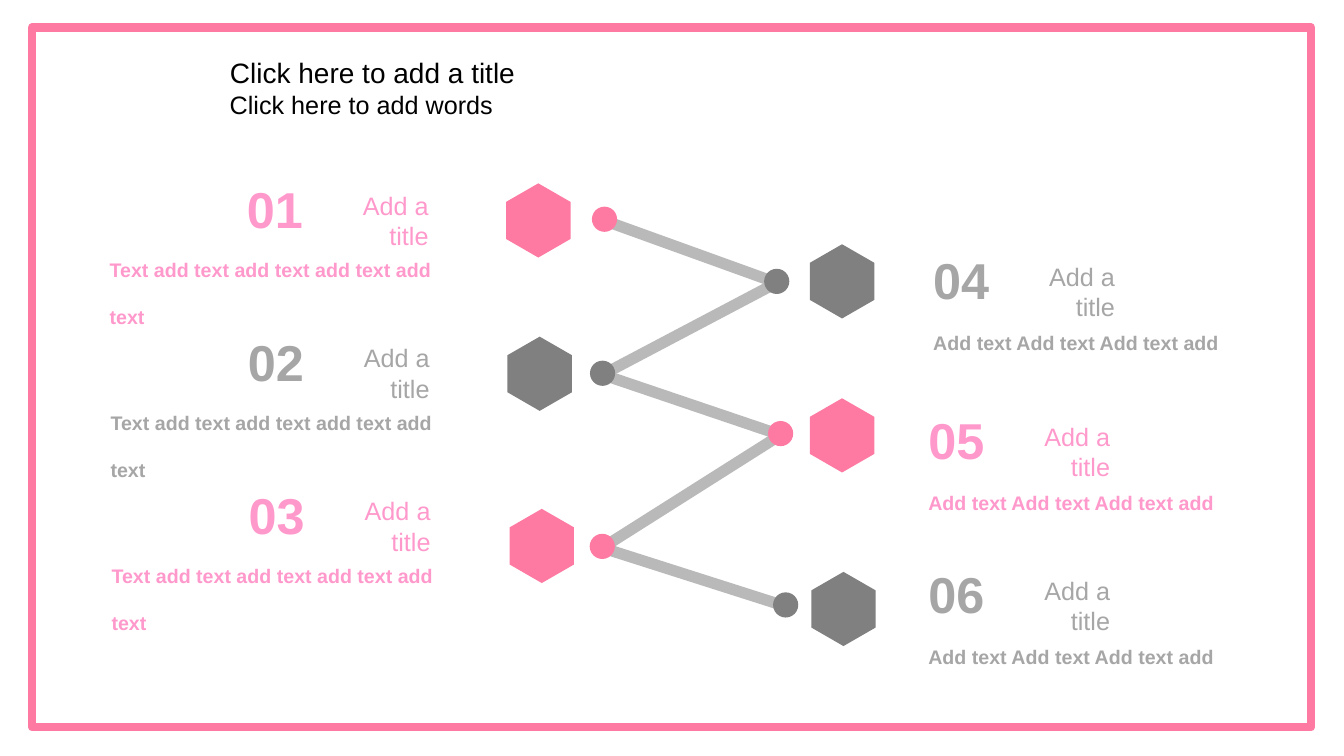
from itertools import pairwise

from lxml import etree
from pptx import Presentation
from pptx.dml.color import RGBColor
from pptx.enum import shapes, text
from pptx.oxml.ns import qn
from pptx.util import Pt

PINK, GRAY = "FF7AA3", "808080"
LIGHT_PINK, LIGHT_GRAY = "FF99CC", "A6A6A6"
LINE_GRAY = "B9B9B9"
DOT = 18
HEX_W, HEX_H = 46, 53

LEFT_BODY = "Text add text add text add text add text"
RIGHT_BODY = "Add text Add text Add text add"

# label, pink?, hexagon left/top, dot centre, number left/top
LEFT_ITEMS = [
    ("01", True, (361.5, 131), (431.8, 156.6), (169.2, 123.8)),
    ("02", False, (362.5, 240.5), (430.4, 266.6), (169.9, 232.6)),
    ("03", True, (364, 363.5), (430.2, 390.3), (170.6, 342)),
]
RIGHT_ITEMS = [
    ("04", False, (578.5, 174.5), (554.8, 201), (659.5, 174.2)),
    ("05", True, (578.5, 284.5), (557.6, 309.7), (656, 288.7)),
    ("06", False, (579.5, 408.5), (561.2, 432.1), (656, 398.9)),
]


def rgb(value):
    return RGBColor.from_string(value)


def paint(sp, fill):
    sp.shadow.inherit = False
    sp.fill.solid()
    sp.fill.fore_color.rgb = rgb(fill)
    sp.line.fill.background()


def write(sp, words, size=18, color="000000", bold=False, wrap=True,
          align=text.PP_ALIGN.LEFT, spacing=None):
    tf = sp.text_frame
    tf.word_wrap = wrap
    tf.auto_size = text.MSO_AUTO_SIZE.SHAPE_TO_FIT_TEXT
    tf.vertical_anchor = text.MSO_ANCHOR.TOP
    p = tf.paragraphs[0]
    p.alignment = align
    if spacing:
        p.line_spacing = spacing
    r = p.add_run()
    r.text = words
    r.font.name = "Arial"
    r.font.size = Pt(size)
    r.font.bold = bold
    r.font.color.rgb = rgb(color)


def add_text(slide, x, y, w, h, words, **fmt):
    sp = slide.shapes.add_textbox(Pt(x), Pt(y), Pt(w), Pt(h))
    write(sp, words, **fmt)


def add_frame(slide):
    sp = slide.shapes.add_shape(shapes.MSO_SHAPE.RECTANGLE,
                                Pt(23), Pt(19.5), Pt(913.5), Pt(500))
    paint(sp, "FFFFFF")
    sp.line.color.rgb = rgb(PINK)
    sp.line.width = Pt(6)
    # Send the frame behind the title
    slide.shapes.title._element.addprevious(sp._element)


def add_heading(slide):
    sp = slide.shapes.title
    sp.left, sp.top, sp.width, sp.height = Pt(157), Pt(36), Pt(224), Pt(31.5)
    write(sp, "Click here to add a title", size=20)
    add_text(slide, 157, 60, 211, 29, "Click here to add words",
             align=text.PP_ALIGN.JUSTIFY)


def add_hexagon(slide, x, y, color):
    mid, right, bottom = x + HEX_W / 2, x + HEX_W, y + HEX_H
    upper, lower = y + HEX_H / 4, y + HEX_H * 3 / 4
    fb = slide.shapes.build_freeform(Pt(mid), Pt(y))
    corners = [(right, upper), (right, lower), (mid, bottom),
               (x, lower), (x, upper)]
    fb.add_line_segments([(Pt(a), Pt(b)) for a, b in corners], close=True)
    paint(fb.convert_to_shape(), color)


def add_dot(slide, cx, cy, color):
    sp = slide.shapes.add_shape(shapes.MSO_SHAPE.OVAL, Pt(cx - DOT / 2),
                                Pt(cy - DOT / 2), Pt(DOT), Pt(DOT))
    paint(sp, color)


def add_link(slide, start, end):
    # Links run a point below the dot centres
    (x1, y1), (x2, y2) = start, end
    line = slide.shapes.add_connector(shapes.MSO_CONNECTOR.STRAIGHT, Pt(x1),
                                      Pt(y1 + 1), Pt(x2), Pt(y2 + 1))
    line.line.color.rgb = rgb(LINE_GRAY)
    line.line.width = Pt(8)
    etree.SubElement(line._element.spPr, qn("a:effectLst"))


def add_item_text(slide, label, pos, color, body, dx, dy, width):
    x, y = pos
    add_text(slide, x, y, 54.7, 51, label, size=36, color=color, bold=True,
             wrap=False)
    add_text(slide, x + 57, y + 8.6, 87, 29, "Add a title", color=color,
             align=text.PP_ALIGN.RIGHT)
    add_text(slide, x + dx, y + dy, width, 41, body, size=14, color=color,
             bold=True, spacing=2.0)


def main():
    prs = Presentation()
    prs.slide_width, prs.slide_height = Pt(960), Pt(540)
    slide = prs.slides.add_slide(prs.slide_layouts[5])

    add_frame(slide)
    add_heading(slide)

    # Zigzag of links, alternating left and right
    stops = [item[3] for pair in zip(LEFT_ITEMS, RIGHT_ITEMS) for item in pair]
    for start, end in pairwise(stops):
        add_link(slide, start, end)

    # Hexagons, dots and texts
    sides = [(LEFT_ITEMS, (LEFT_BODY, -98, 40.3, 263.5)),
             (RIGHT_ITEMS, (RIGHT_BODY, 0, 41.5, 237))]
    for items, body in sides:
        for label, pink, hexagon, dot, number in items:
            color = PINK if pink else GRAY
            add_hexagon(slide, *hexagon, color)
            add_dot(slide, *dot, color)
            add_item_text(slide, label, number,
                          LIGHT_PINK if pink else LIGHT_GRAY, *body)

    prs.save("out.pptx")


if __name__ == "__main__":
    main()
